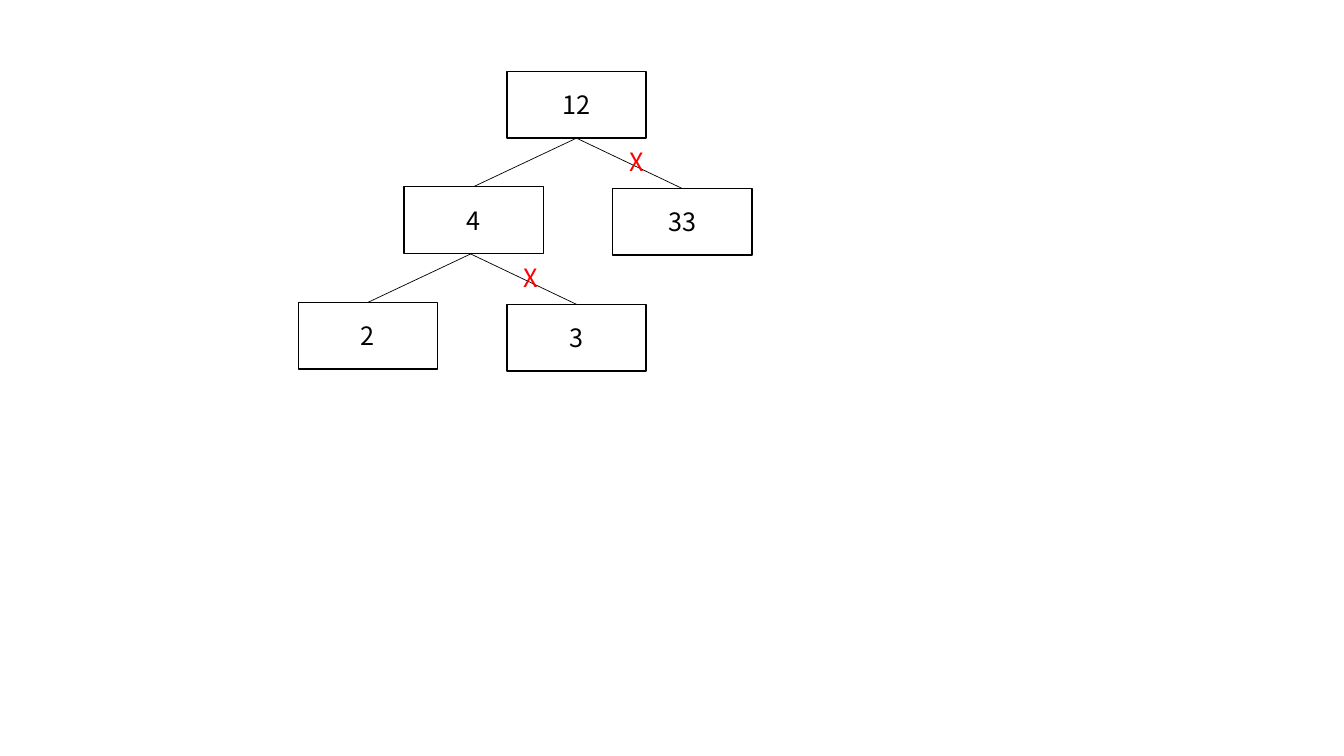
from dataclasses import dataclass

from lxml import etree
from pptx import Presentation
from pptx.dml.color import RGBColor
from pptx.enum.shapes import MSO_CONNECTOR, MSO_SHAPE
from pptx.enum.text import MSO_ANCHOR, MSO_AUTO_SIZE, PP_ALIGN
from pptx.oxml.ns import qn
from pptx.util import Pt

RECTANGLE = MSO_SHAPE.RECTANGLE
STRAIGHT = MSO_CONNECTOR.STRAIGHT
MIDDLE = MSO_ANCHOR.MIDDLE
CENTER = PP_ALIGN.CENTER
LEFT = PP_ALIGN.LEFT
FIT_SHAPE = MSO_AUTO_SIZE.SHAPE_TO_FIT_TEXT
BLANK_LAYOUT = 6


@dataclass(frozen=True)
class Theme:
    font: str = "Noto Sans CJK SC"
    text_size: float = 18
    ink: RGBColor = RGBColor(0, 0, 0)
    paper: RGBColor = RGBColor(255, 255, 255)
    cut: RGBColor = RGBColor(255, 0, 0)
    box_line: float = 1
    branch_line: float = 0.5


def write_text(frame, text, *, font, size, color, align):
    para = frame.paragraphs[0]
    para.alignment = align
    span = para.add_run()
    span.text = text
    span.font.name = font
    span.font.size = Pt(size)
    span.font.color.rgb = color


class TreePage:
    node_width, node_height = 99.4, 47.6
    left_child = (-73.4, 34.6)
    right_child = (75.6, 36)
    mark_offset = (30.7, 2.5)
    mark_size = (25.2, 28.8)

    def __init__(self, page, theme):
        self.page = page
        self.theme = theme

    def node(self, text, center, top):
        box = self.page.shapes.add_shape(
            RECTANGLE, Pt(center - self.node_width / 2), Pt(top),
            Pt(self.node_width), Pt(self.node_height))
        box.shadow.inherit = False
        box.fill.solid()
        box.fill.fore_color.rgb = self.theme.paper
        box.line.color.rgb = self.theme.ink
        box.line.width = Pt(self.theme.box_line)
        box.text_frame.vertical_anchor = MIDDLE
        write_text(box.text_frame, text, font=self.theme.font,
                   size=self.theme.text_size, color=self.theme.ink, align=CENTER)

    def branch(self, start, end):
        line = self.page.shapes.add_connector(STRAIGHT, *map(Pt, start + end))
        line.line.color.rgb = self.theme.ink
        line.line.width = Pt(self.theme.branch_line)
        etree.SubElement(line._element.spPr, qn("a:effectLst"))

    def cut_mark(self, fork):
        left, top = (a + b for a, b in zip(fork, self.mark_offset))
        box = self.page.shapes.add_textbox(
            Pt(left), Pt(top), *map(Pt, self.mark_size))
        box.text_frame.word_wrap = False
        box.text_frame.auto_size = FIT_SHAPE
        write_text(box.text_frame, "X", font=self.theme.font,
                   size=self.theme.text_size, color=self.theme.cut, align=LEFT)

    def children(self, fork, left_text, right_text):
        for text, (across, down) in ((left_text, self.left_child),
                                     (right_text, self.right_child)):
            child = (fork[0] + across, fork[1] + down)
            self.branch(fork, child)
            self.node(text, *child)
        self.cut_mark(fork)


deck = Presentation()
deck.slide_width, deck.slide_height = Pt(960), Pt(540)
tree = TreePage(deck.slides.add_slide(deck.slide_layouts[BLANK_LAYOUT]), Theme())

root_center, root_top = 411.8, 51.1
root_fork = (root_center, root_top + TreePage.node_height)
lower_fork = (336.2, 181.4)

tree.node("12", root_center, root_top)
tree.children(root_fork, "4", "33")
tree.children(lower_fork, "2", "3")

deck.save("out.pptx")
